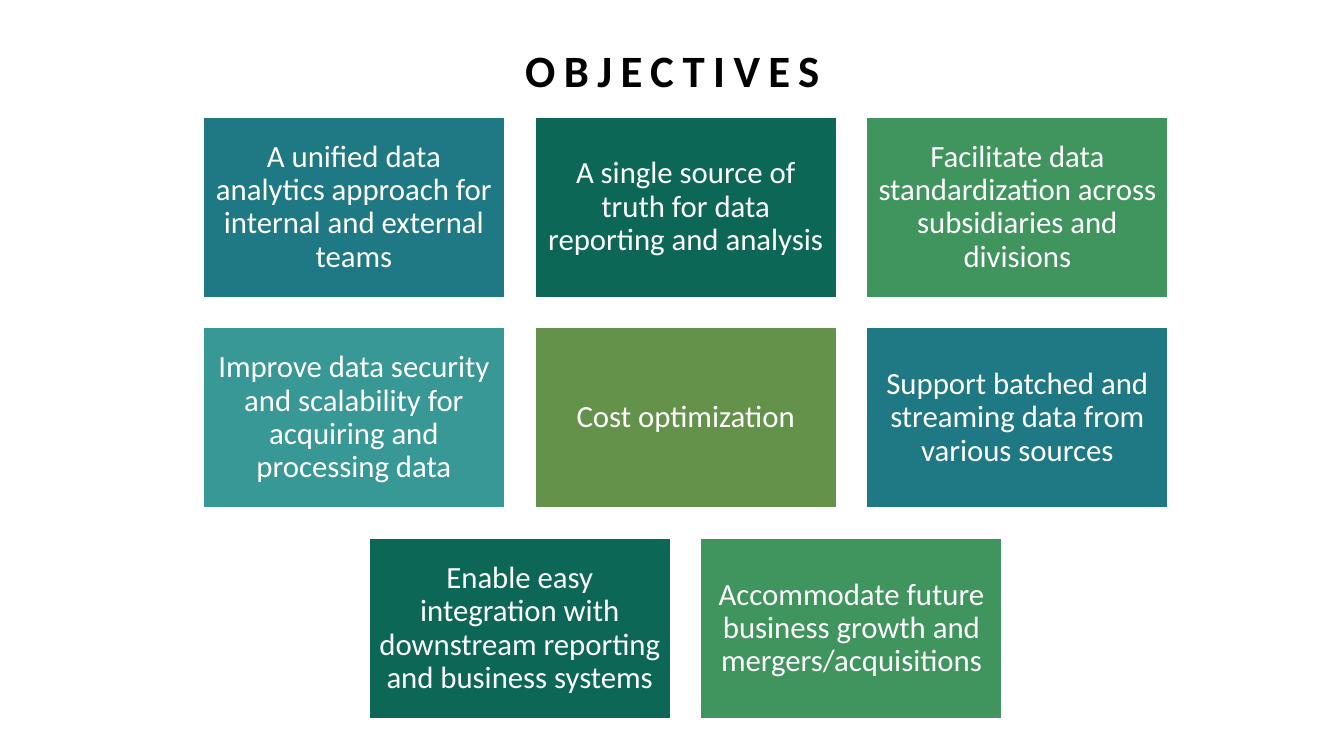
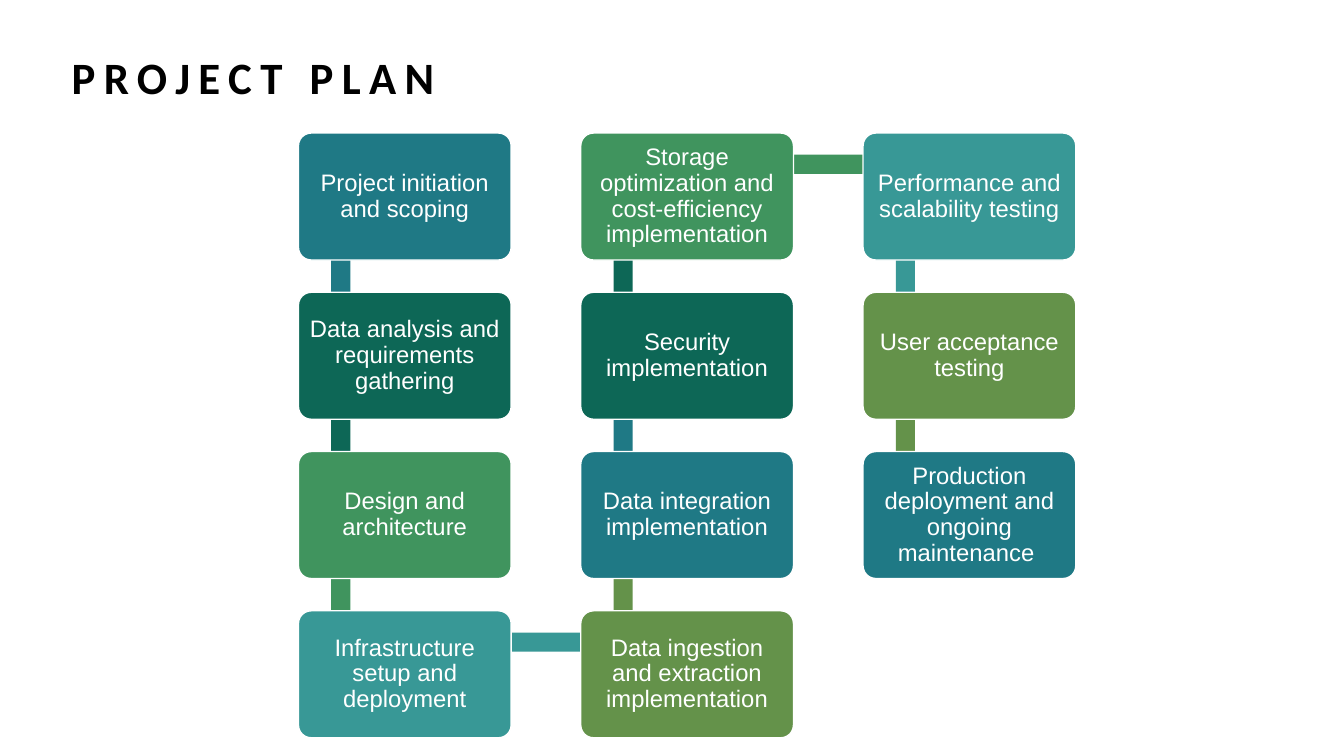
from pptx import Presentation
from pptx.dml.color import RGBColor
from pptx.enum.shapes import MSO_SHAPE as SHAPE
from pptx.enum.text import MSO_ANCHOR as ANCHOR, MSO_AUTO_SIZE as AUTO_SIZE, PP_ALIGN as ALIGN
from pptx.util import Inches, Pt

COLORS = {
    "teal": "1F7985",
    "pine": "0D6756",
    "green": "40945E",
    "aqua": "389896",
    "olive": "64924A",
    "white": "FFFFFF",
    "black": "000000",
}
CYCLE = ["teal", "pine", "green", "aqua", "olive"]
TITLE_ONLY = 5

OBJECTIVES = [
    "A unified data analytics approach for internal and external teams",
    "A single source of truth for data reporting and analysis",
    "Facilitate data standardization across subsidiaries and divisions",
    "Improve data security and scalability for acquiring and processing data",
    "Cost optimization",
    "Support batched and streaming data from various sources",
    "Enable easy integration with downstream reporting and business systems",
    "Accommodate future business growth and mergers/acquisitions",
]
STEPS = [
    "Project initiation and scoping",
    "Data analysis and requirements gathering",
    "Design and architecture",
    "Infrastructure setup and deployment",
    "Data ingestion and extraction implementation",
    "Data integration implementation",
    "Security implementation",
    "Storage optimization and cost-efficiency implementation",
    "Performance and scalability testing",
    "User acceptance testing",
    "Production deployment and ongoing maintenance ",
]


def rgb(name):
    return RGBColor.from_string(COLORS[name])


def cycle_color(i):
    return CYCLE[i % len(CYCLE)]


def add_run(p, text, font, size, color):
    r = p.add_run()
    r.text = text
    r.font.name = font
    r.font.size = Pt(size)
    r.font.color.rgb = rgb(color)
    return r


def add_titled_slide(prs, text, box, align):
    s = prs.slides.add_slide(prs.slide_layouts[TITLE_ONLY])
    title = s.shapes.title
    title.left, title.top, title.width, title.height = map(Inches, box)
    tf = title.text_frame
    tf.auto_size = AUTO_SIZE.NONE
    tf.vertical_anchor = ANCHOR.BOTTOM
    p = tf.paragraphs[0]
    p.alignment = align
    p.line_spacing = 1.2
    r = add_run(p, text, "Calibri", 32, "black")
    r.font.bold = True
    r.font._element.set("spc", "600")
    return s


def add_block(s, kind, box, color):
    sp = s.shapes.add_shape(kind, *map(Inches, box))
    sp.shadow.inherit = False
    sp.fill.solid()
    sp.fill.fore_color.rgb = rgb(color)
    sp.line.fill.background()
    return sp


def add_card(s, kind, box, color, text, font, size, inset):
    """Add a filled block with a thin white outline and centred text."""
    sp = add_block(s, kind, box, color)
    sp.line.color.rgb = rgb("white")
    sp.line.width = Pt(1)
    tf = sp.text_frame
    tf.word_wrap = True
    tf.vertical_anchor = ANCHOR.MIDDLE
    tf.margin_left = tf.margin_right = tf.margin_top = tf.margin_bottom = Inches(inset)
    p = tf.paragraphs[0]
    p.alignment = ALIGN.CENTER
    p.line_spacing = 0.9
    add_run(p, text, font, size, "white")
    return sp


def add_card_grid(s, texts):
    """Lay cards out in rows of three, centring the shorter last row."""
    columns, width, height, gap = 3, 2.99, 1.79, 0.3
    center, top = 6.8, 1.16
    for i, text in enumerate(texts):
        row, col = divmod(i, columns)
        count = min(columns, len(texts) - row * columns)
        row_width = count * width + (count - 1) * gap
        x = center - row_width / 2 + col * (width + gap)
        y = top + row * (height + gap)
        add_card(s, SHAPE.RECTANGLE, (x, y, width, height), cycle_color(i),
                 text, "Calibri", 22, 0.09)


def add_snake_flow(s, texts):
    """Run steps down one column and up the next, with bars between them."""
    rows, width, height = 4, 2.11, 1.26
    left, top, pitch_x, pitch_y = 2.96, 1.32, 2.8, 1.58
    node_x, node_y, thick = 0.42, 0.31, 0.19

    spots = []
    for i in range(len(texts)):
        col, row = divmod(i, rows)
        if col % 2:
            row = rows - 1 - row
        spots.append((left + col * pitch_x, top + row * pitch_y))

    for i, ((x1, y1), (x2, y2)) in enumerate(zip(spots, spots[1:])):
        bar = (min(x1, x2) + node_x - thick / 2, min(y1, y2) + node_y - thick / 2,
               abs(x2 - x1) + thick, abs(y2 - y1) + thick)
        add_block(s, SHAPE.RECTANGLE, bar, cycle_color(i))

    for i, (text, (x, y)) in enumerate(zip(texts, spots)):
        sp = add_card(s, SHAPE.ROUNDED_RECTANGLE, (x, y, width, height),
                      cycle_color(i), text, "Arial", 17, 0.07)
        sp.adjustments[0] = 0.1


def main():
    prs = Presentation()
    prs.slide_width, prs.slide_height = Inches(13.33), Inches(7.5)

    s = add_titled_slide(prs, "OBJECTIVES", (1.67, 0.06, 10, 0.95), ALIGN.CENTER)
    add_card_grid(s, OBJECTIVES)

    s = add_titled_slide(prs, "PROJECT PLAN", (0.61, 0.31, 9.85, 0.77), ALIGN.LEFT)
    add_snake_flow(s, STEPS)

    prs.save("out.pptx")


if __name__ == "__main__":
    main()
